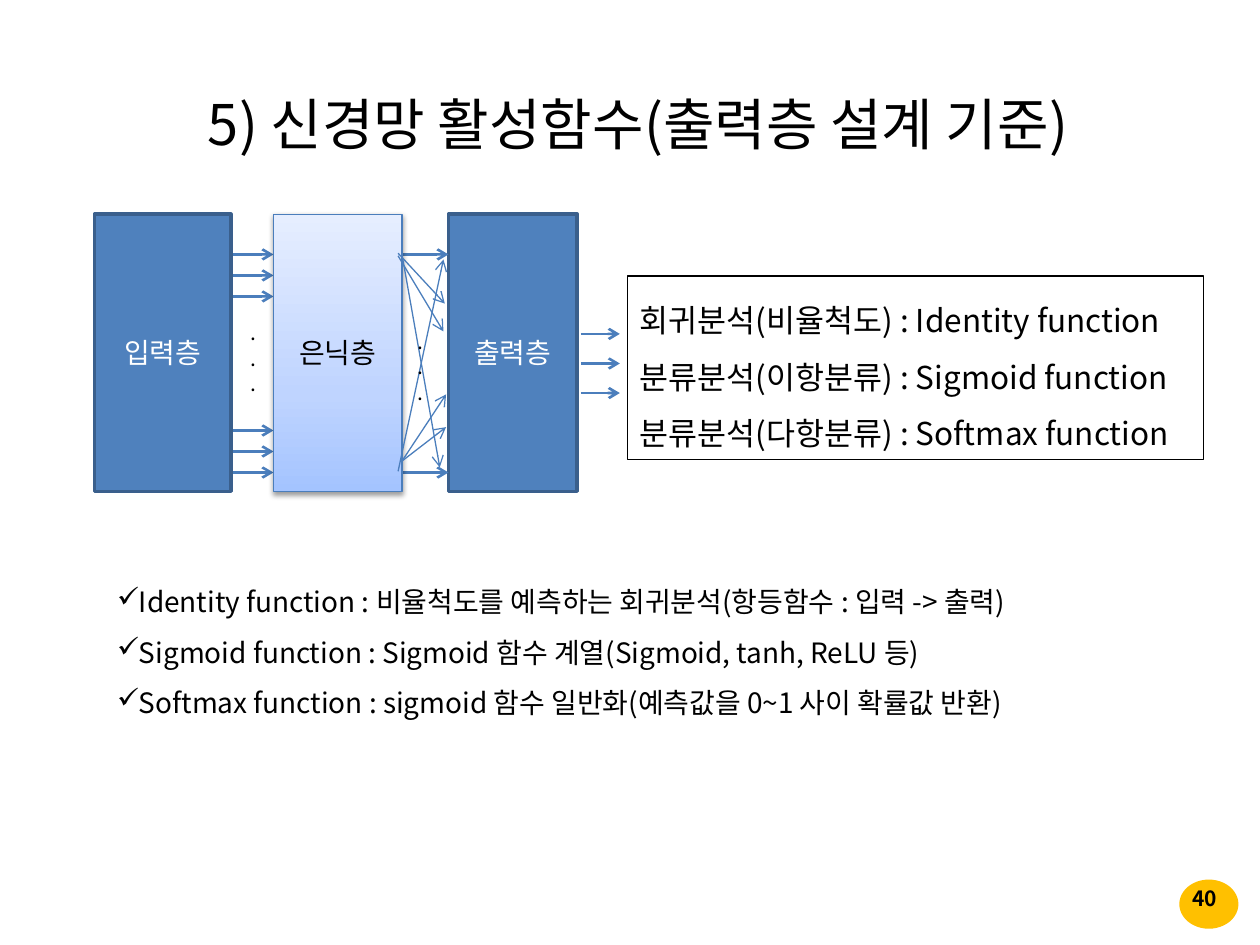
from lxml.etree import SubElement
from pptx import Presentation
from pptx.dml.color import RGBColor
from pptx.enum.shapes import MSO_CONNECTOR, MSO_SHAPE
from pptx.enum.text import MSO_ANCHOR, PP_ALIGN
from pptx.oxml import parse_xml
from pptx.oxml.ns import nsdecls, qn
from pptx.util import Pt

FONT = "Noto Sans CJK KR"
COLORS = {"black": "000000", "white": "FFFFFF", "blue": "4F81BD",
          "border": "3A5F8C", "arrow": "4B7EBC", "gold": "FFC000"}
TITLE = "5) 신경망 활성함수(출력층 설계 기준)"
PAGE = "40"
LAYERS = [("입력층", 54, 78), ("출력층", 256.3, 73.5)]
HIDDEN = ("은닉층", 156.3, 73.5)
LAYER_TOP, LAYER_HEIGHT = 122.4, 158.4
CHOICES = ["회귀분석(비율척도) : Identity function",
           "분류분석(이항분류) : Sigmoid function",
           "분류분석(다항분류) : Softmax function"]
NOTES = ["Identity function : 비율척도를 예측하는 회귀분석(항등함수 : 입력 -> 출력)",
         "Sigmoid function : Sigmoid 함수 계열(Sigmoid, tanh, ReLU 등)",
         "Softmax function : sigmoid 함수 일반화(예측값을 0~1 사이 확률값 반환)"]
DOTS = [(143.3, 179.3), (238.3, 184.3)]
FAN = [(229.7, 145.4, 251.3, 267.1), (227.5, 269.3, 253.4, 148.3),
       (227.5, 146.2, 253.4, 189.4), (229.7, 263.5, 254.9, 225.4),
       (227.5, 144.7, 254.2, 173.5), (229.7, 263.5, 254.9, 244.1)]
GRADIENT = [(0, "A4C4FF"), (35, "BFD4FF"), (100, "E6EEFF")]


def rgb(name):
    return RGBColor.from_string(COLORS[name])


def write(shape, lines, size, color="black", bold=False, align=PP_ALIGN.LEFT,
          anchor=MSO_ANCHOR.TOP, spacing=None, bullet=None, insets=(7.2, 3.6, 7.2, 3.6)):
    tf = shape.text_frame
    left, top, right, bottom = map(Pt, insets)
    frame = {"word_wrap": True, "vertical_anchor": anchor, "margin_left": left,
             "margin_top": top, "margin_right": right, "margin_bottom": bottom}
    for key, value in frame.items():
        setattr(tf, key, value)
    for i, line in enumerate(lines):
        p = tf.paragraphs[0] if i == 0 else tf.add_paragraph()
        p.alignment = align
        if spacing:
            p.line_spacing = Pt(spacing)
        if bullet:
            pPr = p._p.get_or_add_pPr()
            pPr.set("marL", str(Pt(12)))
            pPr.set("indent", str(Pt(-12)))
            SubElement(pPr, qn("a:buChar")).set("char", bullet)
        r = p.add_run()
        r.text = line
        for key, value in {"name": FONT, "size": Pt(size), "bold": bold}.items():
            setattr(r.font, key, value)
        r.font.color.rgb = rgb(color)
        SubElement(r._r.get_or_add_rPr(), qn("a:ea")).set("typeface", FONT)


def add_box(s, kind, box, fill=None, line=None, width=0.75):
    sp = s.shapes.add_shape(kind, *map(Pt, box))
    sp.shadow.inherit = False
    if fill:
        sp.fill.solid()
        sp.fill.fore_color.rgb = rgb(fill)
    else:
        sp.fill.background()
    if line:
        sp.line.color.rgb = rgb(line)
        sp.line.width = Pt(width)
    else:
        sp.line.fill.background()
    return sp


def add_layer(s, layer, color, **style):
    name, left, width = layer
    sp = add_box(s, MSO_SHAPE.RECTANGLE, (left, LAYER_TOP, width, LAYER_HEIGHT), **style)
    write(sp, [name], 16, color, align=PP_ALIGN.CENTER, anchor=MSO_ANCHOR.MIDDLE)
    return sp


def add_arrow(s, ends, width=1.5):
    c = s.shapes.add_connector(MSO_CONNECTOR.STRAIGHT, *map(Pt, ends))
    c.line.color.rgb = rgb("arrow")
    c.line.width = Pt(width)
    SubElement(c.line._get_or_add_ln(), qn("a:tailEnd")).set("type", "arrow")
    SubElement(c._element.spPr, qn("a:effectLst"))


def shade(sp):
    spPr = sp._element.spPr
    stops = "".join(f'<a:gs pos="{pos * 1000}"><a:srgbClr val="{color}"/></a:gs>'
                    for pos, color in GRADIENT)
    spPr.replace(spPr.find(qn("a:noFill")), parse_xml(
        f'<a:gradFill {nsdecls("a")} rotWithShape="1"><a:gsLst>{stops}</a:gsLst>'
        '<a:lin ang="16200000" scaled="0"/></a:gradFill>'))
    spPr.find(qn("a:effectLst")).append(parse_xml(
        f'<a:outerShdw {nsdecls("a")} blurRad="{Pt(3.1)}" dist="{Pt(1.6)}" dir="5400000" '
        'rotWithShape="0"><a:srgbClr val="000000"><a:alpha val="38000"/></a:srgbClr>'
        '</a:outerShdw>'))


def main():
    prs = Presentation()
    prs.slide_width, prs.slide_height = Pt(720), Pt(540)
    s = prs.slides.add_slide(prs.slide_layouts[5])
    middle = {"align": PP_ALIGN.CENTER, "anchor": MSO_ANCHOR.MIDDLE}

    title = s.shapes.title
    title.left, title.top, title.width, title.height = map(Pt, (65.5, 43.2, 598.3, 54))
    write(title, [TITLE], 32, **middle)

    notes = s.shapes.add_textbox(*map(Pt, (59.8, 321.1, 635, 94.3)))
    write(notes, NOTES, 16, spacing=28.8, bullet="✓")

    add_box(s, MSO_SHAPE.OVAL, (673.9, 502.6, 33.8, 28.1), fill="gold")
    page = s.shapes.add_textbox(*map(Pt, (656.6, 502.6, 63.4, 20.9)))
    write(page, [PAGE], 12, bold=True, **middle)

    for layer in LAYERS:
        add_layer(s, layer, "white", fill="blue", line="border", width=2)

    rows = [start + 12 * i for start in (145.4, 246) for i in range(3)]
    for y in rows:
        add_arrow(s, (133.2, y, 156.3, y))
    for y in (rows[0], rows[-1]):
        add_arrow(s, (225.4, y, 256.3, y))

    shade(add_layer(s, HIDDEN, "black", line="arrow"))
    for ends in FAN:
        add_arrow(s, ends, 0.75)

    for left, top in DOTS:
        dots = s.shapes.add_textbox(*map(Pt, (left, top, 5.8, 51.1)))
        write(dots, ["."] * 3, 12, spacing=14.4, insets=(0, 3.6, 0, 3.6))

    for i in range(3):
        y = 190.8 + 16.9 * i
        add_arrow(s, (331.9, y, 354.2, y))
    choices = add_box(s, MSO_SHAPE.RECTANGLE, (358.6, 157.7, 329, 105.1), line="black")
    write(choices, CHOICES, 18, spacing=32.4, insets=(7.2, 3.6, 0, 3.6))

    prs.save("out.pptx")


if __name__ == "__main__":
    main()
